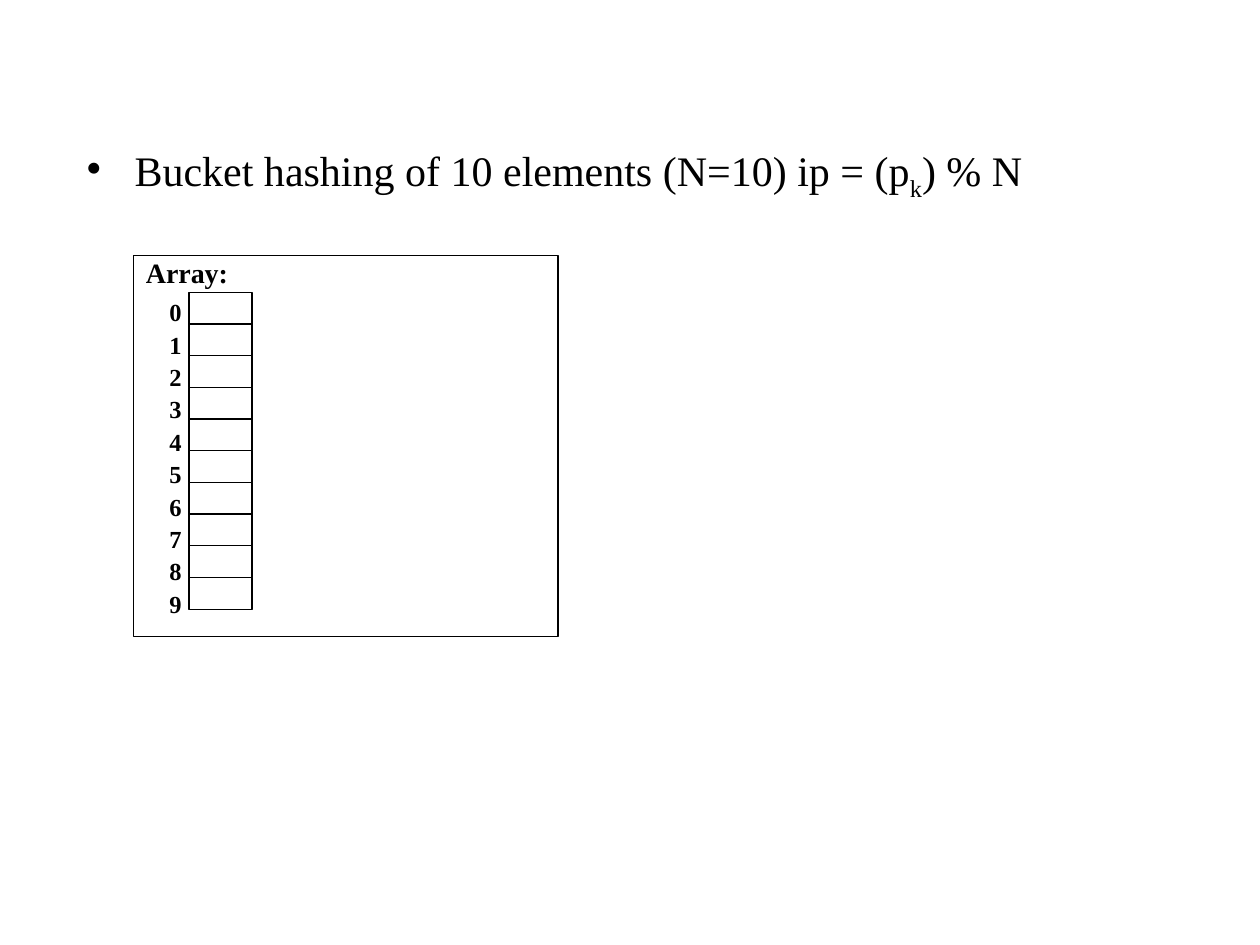
from dataclasses import dataclass
from typing import Any

from lxml.etree import SubElement
from pptx import Presentation
from pptx.dml.color import RGBColor
from pptx.enum.shapes import MSO_SHAPE as SHAPE
from pptx.enum.text import MSO_ANCHOR as ANCHOR, MSO_AUTO_SIZE as AUTO, PP_ALIGN as ALIGN
from pptx.oxml.ns import qn
from pptx.util import Inches, Pt

FONT = "Times New Roman"
BLACK, WHITE = "000000", "FFFFFF"
SLOTS = 10
CELL_W, CELL_H = 0.5, 0.2515


@dataclass
class Box:
    left: float
    top: float
    width: float
    height: float

    def emu(self) -> list[int]:
        return [Inches(v) for v in (self.left, self.top, self.width, self.height)]


def color(value: str) -> RGBColor:
    return RGBColor.from_string(value)


def add_rect(shapes: Any, box: Box) -> Any:
    sp = shapes.add_shape(SHAPE.RECTANGLE, *box.emu())
    sp.shadow.inherit = False
    sp.fill.solid()
    sp.fill.fore_color.rgb = color(WHITE)
    sp.line.color.rgb = color(BLACK)
    sp.line.width = Pt(0.75)
    return sp


def style(p: Any, size: float, bold: bool = False, align: Any = ALIGN.LEFT) -> None:
    p.alignment = align
    for r in p.runs:
        r.font.name = FONT
        r.font.size = Pt(size)
        r.font.bold = bold
        r.font.color.rgb = color(BLACK)


def add_heading(shapes: Any, box: Box) -> None:
    tf = shapes.add_textbox(*box.emu()).text_frame
    tf.word_wrap = True
    p = tf.paragraphs[0]
    for text in ("Bucket hashing of 10 elements (N=10) ip = (p", "k", ") % N"):
        p.add_run().text = text
    style(p, 24)
    p.runs[1].font._element.set("baseline", "-25000")
    pPr = p._p.get_or_add_pPr()
    pPr.set("marL", str(Inches(0.38)))
    pPr.set("indent", str(-Inches(0.38)))
    SubElement(pPr, qn("a:buChar")).set("char", "•")


def add_panel(shapes: Any, box: Box) -> None:
    tf = add_rect(shapes, box).text_frame
    tf.margin_top = tf.margin_bottom = 0
    tf.vertical_anchor = ANCHOR.TOP
    tf.text = "Array:"
    style(tf.paragraphs[0], 16, bold=True)


def add_array(shapes: Any, left: float, top: float) -> None:
    for i in range(SLOTS):
        add_rect(shapes, Box(left, top + i * CELL_H, CELL_W, CELL_H))
    labels = Box(left - 0.26, top - 0.01, 0.3, 2.58)
    tf = shapes.add_textbox(*labels.emu()).text_frame
    tf.word_wrap = False
    tf.auto_size = AUTO.SHAPE_TO_FIT_TEXT
    tf.text = "\n".join(str(i) for i in range(SLOTS))
    for p in tf.paragraphs:
        style(p, 14, bold=True, align=ALIGN.RIGHT)
        p.space_after = Pt(1.7)


prs = Presentation()
prs.slide_width, prs.slide_height = Inches(10), Inches(7.5)
slide = prs.slides.add_slide(prs.slide_layouts[6])
add_heading(slide.shapes, Box(0.59, 1.1, 9.02, 1.45))
add_panel(slide.shapes, Box(1.06, 2.03, 3.37, 3.02))
add_array(slide.shapes.add_group_shape().shapes, 1.5, 2.32)
prs.save("out.pptx")
